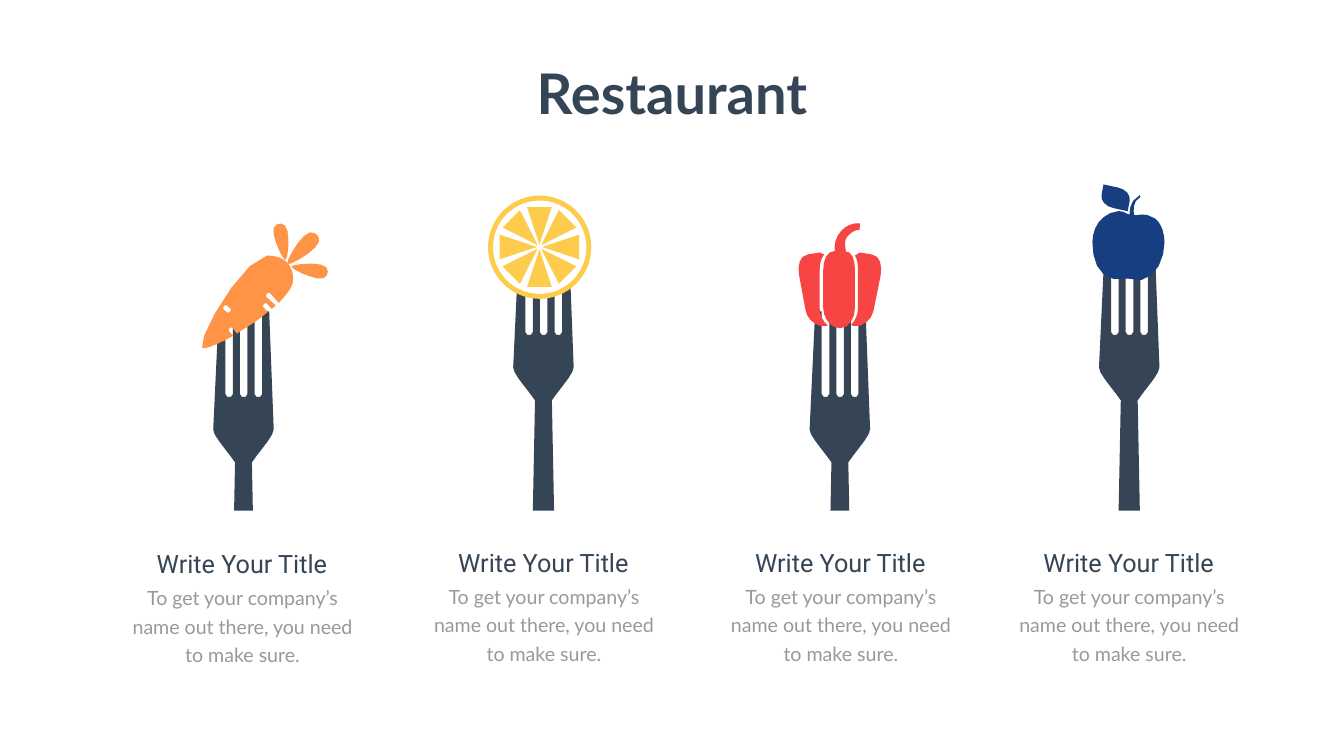
from math import cos, dist, radians, sin

from pptx import Presentation
from pptx.dml.color import RGBColor
from pptx.enum.shapes import MSO_SHAPE
from pptx.enum.text import MSO_AUTO_SIZE, PP_ALIGN
from pptx.util import Pt

RECT, OVAL = MSO_SHAPE.RECTANGLE, MSO_SHAPE.OVAL
WEDGE, SHAFT = MSO_SHAPE.ISOSCELES_TRIANGLE, MSO_SHAPE.TRAPEZOID
GROW, CENTER = MSO_AUTO_SIZE.SHAPE_TO_FIT_TEXT, PP_ALIGN.CENTER

WHITE = RGBColor(0xFF, 0xFF, 0xFF)
NAVY = RGBColor(0x36, 0x45, 0x56)
GRAY = RGBColor(0x99, 0x99, 0x99)
ORANGE = RGBColor(0xFF, 0x94, 0x47)
YELLOW = RGBColor(0xFE, 0xCC, 0x4C)
RED = RGBColor(0xF7, 0x45, 0x44)
BLUE = RGBColor(0x18, 0x3E, 0x82)

UNIT = 0.72  # points per drawing unit, used by the outlines and the icons

TITLE = "Restaurant"
HEAD = "Write Your Title"
BODY = "To get your company’s name out there, you need to make sure."
CAPTIONS = [(182.2, 779.8), (612.7, 777.6), (1036.8, 777.6), (1448.6, 777.6)]

# Outlines are lists of loops; in a loop a pair is a line, six numbers a curve.
CARROT = [
    [[(450, 606), (447, 603, 440, 610, 443, 613),
      (450, 620), (453, 623, 461, 616, 458, 613)],
     [(570, 521), (579, 531, 583, 544, 581, 561), (579, 569, 572, 580, 562, 591),
      (553, 601), (535, 581), (532, 578, 525, 586, 528, 589), (547, 606), (539, 613),
      (529, 602), (526, 599, 519, 606, 522, 609),
      (531, 619), (518, 630), (506, 639, 493, 647, 480, 655), (470, 662),
      (461, 650), (458, 647, 451, 654, 454, 657),
      (463, 666), (431, 684, 406, 694, 401, 690),
      (388, 677, 479, 515, 530, 507), (548, 507, 561, 512, 570, 521)]],
    [[(615, 461), (627, 461, 634, 468, 633, 479), (630, 496, 575, 528, 570, 524),
      (566, 520, 597, 464, 615, 461)]],
    [[(647, 530), (653, 539, 651, 547, 642, 552), (629, 558, 578, 535, 578, 529),
      (580, 524, 636, 518, 647, 530)]],
    [[(565, 447), (557, 441, 548, 443, 543, 452), (537, 465, 561, 517, 566, 516),
      (572, 515, 577, 458, 565, 447)]],
]
PEPPER = [
    [[(1633, 536), (1633, 516, 1640, 498, 1656, 498), (1675, 498),
      (1691, 498, 1696, 516, 1696, 536), (1696, 611),
      (1696, 631, 1684, 651, 1668, 651), (1665, 651),
      (1648, 651, 1633, 631, 1633, 611)]],
    [[(1656, 499), (1654, 485, 1658, 470, 1668, 459),
      (1677, 448, 1691, 442, 1706, 443), (1705, 456),
      (1695, 455, 1687, 463, 1680, 470), (1674, 478, 1677, 490, 1678, 499)]],
    [[(1626, 501), (1635, 505), (1628, 513, 1626, 524, 1626, 537), (1626, 612),
      (1626, 625, 1632, 637, 1642, 646), (1638, 647),
      (1622, 650, 1601, 635, 1598, 616), (1585, 545),
      (1582, 526, 1586, 508, 1602, 505)]],
    [[(1706, 501), (1730, 505), (1746, 508, 1750, 526, 1747, 546), (1733, 616),
      (1730, 635, 1710, 650, 1694, 647), (1688, 645),
      (1697, 636, 1702, 624, 1702, 611), (1702, 536),
      (1702, 526, 1701, 516, 1696, 507)]],
]
APPLE = [
    [[(2202, 423), (2231, 412, 2230, 426, 2245, 427),
      (2260, 429, 2268, 419, 2292, 434), (2302, 442, 2310, 460, 2310, 481),
      (2310, 519, 2286, 570, 2238, 553), (2182, 564, 2167, 521, 2167, 481),
      (2167, 457, 2178, 434, 2202, 423)]],
    [[(2240, 431), (2242, 424, 2236, 401, 2261, 387), (2262, 391),
      (2246, 399, 2248, 419, 2250, 429)]],
    [[(2217, 372), (2189, 366), (2185, 387), (2183, 398, 2193, 410, 2209, 413),
      (2237, 419), (2241, 398), (2243, 387, 2233, 375, 2217, 372)]],
]
# Fork left and top, colour and outlines; the lemon has its own function.
ICONS = [(423, 618, ORANGE, CARROT), (1018, 495, YELLOW, None),
         (1606, 618, RED, PEPPER), (2180, 495, BLUE, APPLE)]


def fork_loop():
    """Outline of the fork's head, with three equal slots."""
    loop = [(11, 0)]
    for x in (24, 53, 82):
        loop += [(x, 0), (x, 164), (x, 172, x + 15, 172, x + 15, 164), (x + 15, 0)]
    return loop + [(111, 0), (120, 234), (120, 247, 91, 278, 77, 299), (43, 299),
                   (29, 278, -1, 246, 0, 234)]


def flatten(loop, left, top):
    """Turn lines and curves into points on the slide."""
    pts = []
    for seg in loop:
        if len(seg) == 2:
            pts.append(seg)
            continue
        a, b, c, d = pts[-1], seg[:2], seg[2:4], seg[4:]
        steps = min(5, 3 + int(dist(a, d) / 25))
        for n in range(1, steps + 1):
            t = n / steps
            u = 1 - t
            pts.append(tuple(u**3 * a[i] + 3 * u * u * t * b[i]
                             + 3 * u * t * t * c[i] + t**3 * d[i] for i in (0, 1)))
    return [(Pt((x + left) * UNIT), Pt((y + top) * UNIT)) for x, y in pts]


def paint(shape, color):
    shape.shadow.inherit = False
    shape.fill.solid()
    shape.fill.fore_color.rgb = color
    shape.line.fill.background()
    return shape


def outline(shapes, loops, color, left=0, top=0):
    pen = None
    for loop in loops:
        first, *rest = flatten(loop, left, top)
        if pen:
            pen.move_to(*first)
        else:
            pen = shapes.build_freeform(*first)
        pen.add_line_segments(rest, close=True)
    paint(pen.convert_to_shape(), color)


def preset(shapes, kind, box, color):
    return paint(shapes.add_shape(kind, *(Pt(v * UNIT) for v in box)), color)


def lemon(shapes):
    rind = preset(shapes, OVAL, (973, 393, 195, 195), WHITE)
    rind.line.color.rgb = YELLOW
    rind.line.width = Pt(7)
    wide, high, reach = 49, 74, 42
    for turn in range(0, 360, 45):
        x = 1070 - reach * sin(radians(turn)) - wide / 2
        y = 490 + reach * cos(radians(turn)) - high / 2
        preset(shapes, WEDGE, (x, y, wide, high), YELLOW).rotation = turn


def label(shapes, box, text, face, size, color, bold=False, wrap=True, lead=None):
    item = shapes.add_textbox(*(Pt(v) for v in box))
    frame = item.text_frame
    frame.text = text
    frame.word_wrap = wrap
    frame.auto_size = GROW
    para = frame.paragraphs[0]
    para.alignment = CENTER
    if lead:
        para.line_spacing = Pt(lead)
    font = para.runs[0].font
    font.name, font.size, font.bold = face, Pt(size), bold
    font.color.rgb = color


def main():
    deck = Presentation()
    deck.slide_width, deck.slide_height = Pt(1919.5), Pt(1080)
    slide = deck.slides.add_slide(deck.slide_layouts[6])
    shapes = slide.shapes

    for left, top, color, parts in ICONS:
        icon = shapes.add_group_shape().shapes
        shaft = preset(icon, SHAFT, (left + 34.5, top + 299, 51, 444), NAVY)
        shaft.adjustments[0] = 0.172
        outline(icon, [fork_loop()], NAVY, left, top)
        if parts is None:
            lemon(icon)
        else:
            for loops in parts:
                outline(icon, loops, color)
    preset(shapes, RECT, (114, 1013, 2437, 401), WHITE)

    for left, top in CAPTIONS:
        label(shapes, (left, top + 46.8, 328.3, 127.4), BODY, "Lato", 28, GRAY, lead=40.8)
        label(shapes, (left - 42.5, top, 411.8, 51.1), HEAD, "Roboto", 36, NAVY)
    label(shapes, (751, 80.6, 417.6, 104.4), TITLE, "Lato", 80, NAVY,
          bold=True, wrap=False)
    deck.save("out.pptx")


if __name__ == "__main__":
    main()
